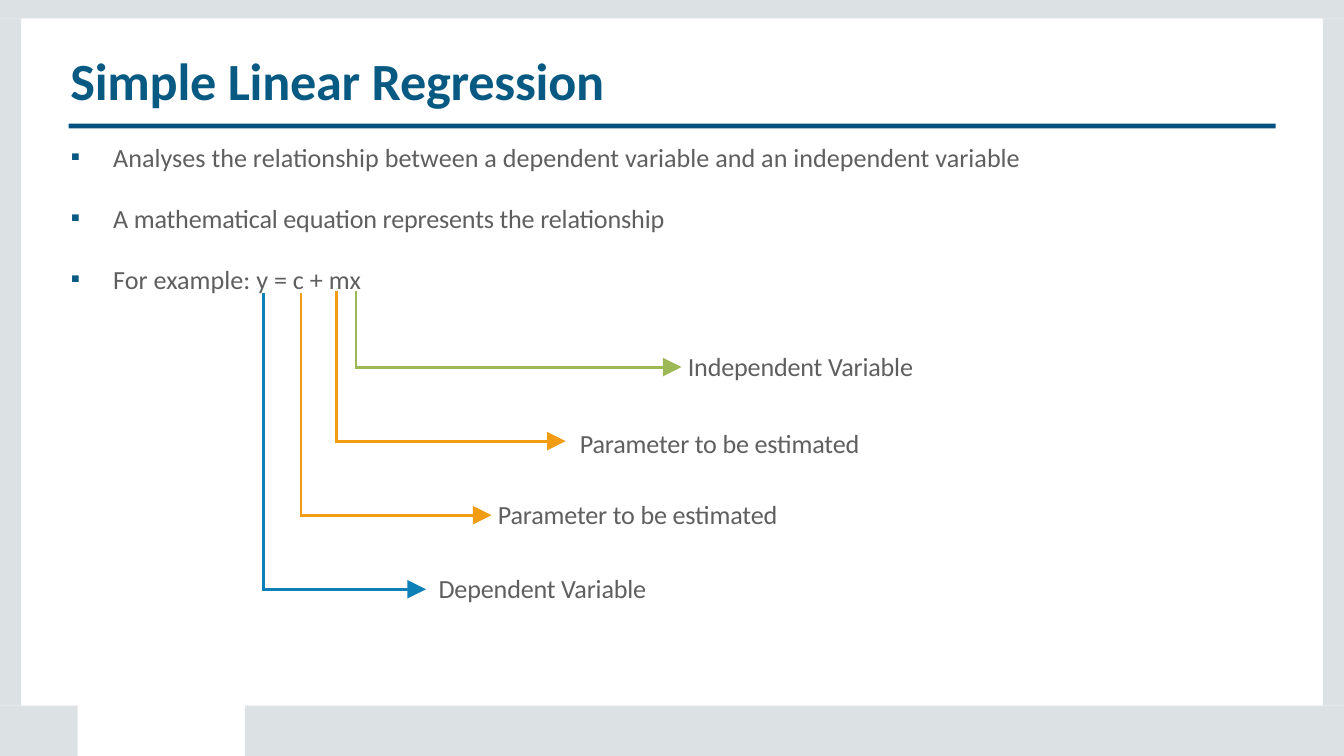
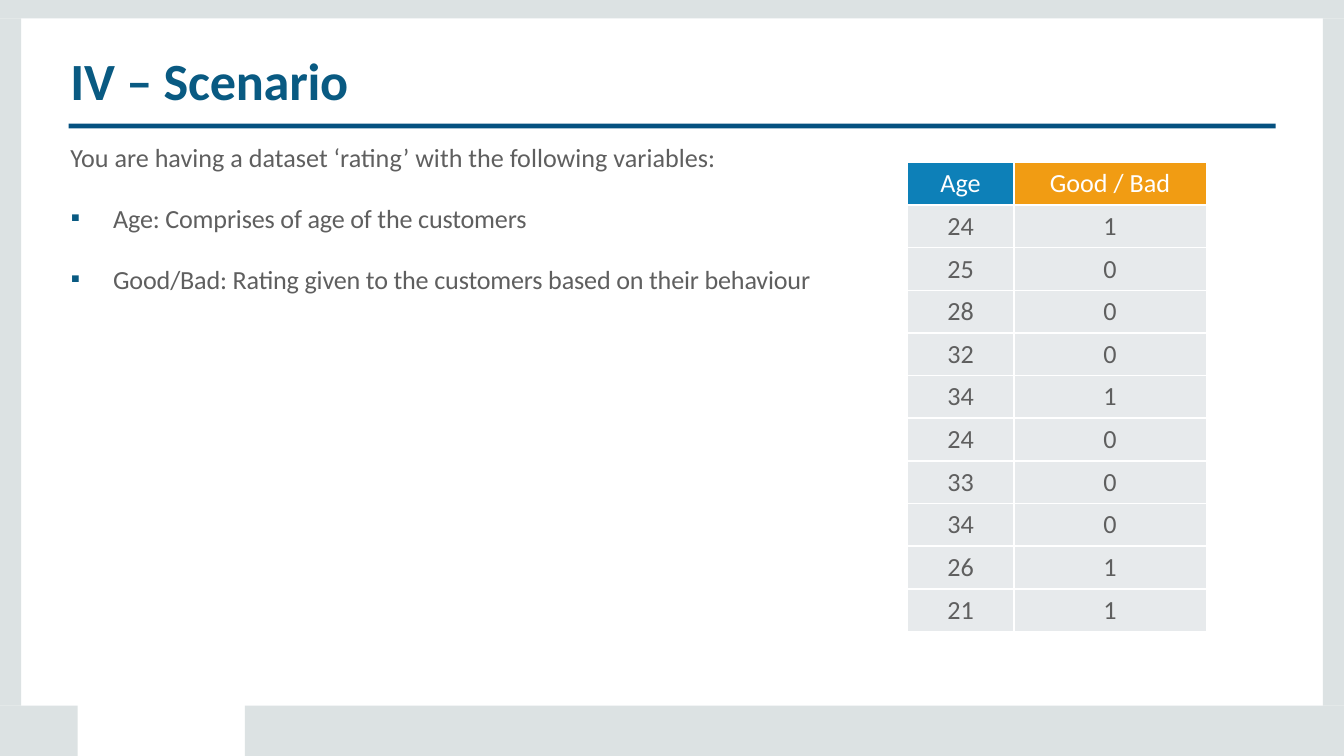
from dataclasses import dataclass
from typing import NamedTuple

from lxml.etree import SubElement
from pptx import Presentation
from pptx.dml.color import RGBColor
from pptx.enum.shapes import MSO_SHAPE as Preset, PP_PLACEHOLDER as Holder
from pptx.enum.text import MSO_ANCHOR as Anchor, MSO_AUTO_SIZE as AutoSize, PP_ALIGN as Align
from pptx.oxml.ns import qn
from pptx.util import Cm, Pt


@dataclass(frozen=True)
class Theme:
    font: str = "Calibri"
    title: str = "095A82"
    rule: str = "055180"
    frame: str = "DCE2E3"
    text: str = "5F5F5F"
    white: str = "FFFFFF"
    cell: str = "E7EAEC"
    blue: str = "0D80B8"
    orange: str = "F19C13"
    green: str = "9CB955"
    title_size: float = 28
    text_size: float = 14
    bullet_gap: float = 15.8
    arrow_width: float = 1.5


THEME = Theme()
PAGE_WIDTH, PAGE_HEIGHT = 25.4, 14.29
MARGIN, INSET_TOP = 1.33, 0.03


class Band(NamedTuple):
    """A filled rectangle, in centimetres."""
    left: float
    top: float
    width: float
    height: float
    color: str = THEME.frame


class Item(NamedTuple):
    text: str
    bullet: bool = True
    tight: bool = True


class Callout(NamedTuple):
    """An arrow from a term of the equation to its label, in centimetres."""
    label: str
    color: str
    term_x: float
    term_y: float
    tip_x: float
    gap: float
    drop: float = -0.02


# Shared frame
SIDE, TOP, FOOT = 0.4, 0.35, 13.34
GAP_LEFT, GAP_RIGHT = 1.47, 4.63
BANDS = [
    Band(PAGE_WIDTH - SIDE, TOP, SIDE, FOOT - TOP),
    Band(0, TOP, SIDE, FOOT - TOP),
    Band(GAP_RIGHT, FOOT, PAGE_WIDTH - GAP_RIGHT, PAGE_HEIGHT - FOOT),
    Band(0, FOOT, GAP_LEFT, PAGE_HEIGHT - FOOT),
    Band(0, 0, PAGE_WIDTH, TOP),
    Band(1.3, 2.34, 22.81, 0.09, THEME.rule),
]

# Slide content
REGRESSION = [
    Item("Analyses the relationship between a dependent variable and an independent variable",
         tight=False),
    Item("A mathematical equation represents the relationship"),
    Item("For example: y = c + mx", tight=False),
]
CALLOUTS = [
    Callout("Independent Variable", THEME.green, 6.73, 5.51, 12.88, 0.12),
    Callout("Parameter to be estimated", THEME.orange, 6.36, 5.51, 10.69, 0.27, drop=0.04),
    Callout("Parameter to be estimated", THEME.orange, 5.69, 5.54, 9.29, 0.12),
    Callout("Dependent Variable", THEME.blue, 4.98, 5.54, 8.05, 0.24),
]
CALLOUT_TOP, CALLOUT_STEP = 6.94, 1.4
LABEL_WIDTH, LABEL_HEIGHT = 6, 0.8

SCENARIO = [
    Item("You are having a dataset ‘rating’ with the following variables:",
         bullet=False, tight=False),
    Item("Age: Comprises of age of the customers"),
    Item("Good/Bad: Rating given to the customers based on their behaviour"),
]
HEADINGS = [("Age", THEME.blue, 2.01), ("Good / Bad", THEME.orange, 3.64)]
RATINGS = [(24, 1), (25, 0), (28, 0), (32, 0), (34, 1),
           (24, 0), (33, 0), (34, 0), (26, 1), (21, 1)]


def rgb(color: str) -> RGBColor:
    return RGBColor.from_string(color)


def add_span(para, text: str, color: str = THEME.text, size: float = THEME.text_size,
             bold: bool = False, tight: bool = False) -> None:
    span = para.add_run()
    span.text = text
    span.font.name = THEME.font
    span.font.size = Pt(size)
    span.font.bold = bold
    span.font.color.rgb = rgb(color)
    if tight:
        span._r.get_or_add_rPr().set("spc", "-10")


def set_frame(frame, left: float = 0, top: float = 0) -> None:
    frame.margin_left, frame.margin_top = Cm(left), Cm(top)
    frame.margin_right = frame.margin_bottom = 0
    frame.auto_size = AutoSize.NONE
    frame.vertical_anchor = Anchor.TOP
    frame.word_wrap = True


def add_bullet(para) -> None:
    props = para._p.get_or_add_pPr()
    props.set("marL", str(Cm(0.81)))
    props.set("indent", str(-Cm(0.8)))
    tint = SubElement(props, qn("a:buClr"))
    SubElement(tint, qn("a:srgbClr"), val=THEME.title)
    SubElement(props, qn("a:buFont"), typeface=THEME.font)
    SubElement(props, qn("a:buChar"), char="▪")


def add_frame(page, layout) -> None:
    """Draw the bands and place them on the layout, behind its title."""
    for holder in list(layout.placeholders):
        if holder.placeholder_format.type != Holder.TITLE:
            layout.shapes.element.remove(holder.element)
    for position, band in enumerate(BANDS, start=2):
        shape = page.shapes.add_shape(Preset.RECTANGLE, Cm(band.left), Cm(band.top),
                                      Cm(band.width), Cm(band.height))
        shape.shadow.inherit = False
        shape.fill.solid()
        shape.fill.fore_color.rgb = rgb(band.color)
        shape.line.fill.background()
        layout.shapes.element.insert(position, shape.element)


def set_title(page, text: str, width: float) -> None:
    box = page.shapes.title
    box.left, box.top, box.width, box.height = Cm(MARGIN), Cm(0.89), Cm(width), Cm(1.25)
    set_frame(box.text_frame, top=INSET_TOP)
    box.text_frame.word_wrap = False
    para = box.text_frame.paragraphs[0]
    para.alignment = Align.LEFT
    add_span(para, text, THEME.title, THEME.title_size, bold=True, tight=True)


def add_items(page, items: list[Item], width: float) -> None:
    box = page.shapes.add_textbox(Cm(MARGIN), Cm(2.64), Cm(width), Cm(2.95))
    set_frame(box.text_frame, top=INSET_TOP)
    for index, item in enumerate(items):
        para = box.text_frame.add_paragraph() if index else box.text_frame.paragraphs[0]
        if item.bullet:
            add_bullet(para)
        if index:
            para.space_before = Pt(THEME.bullet_gap)
        add_span(para, item.text, tight=item.tight)


def add_callout(page, callout: Callout, level: float) -> None:
    # Bent arrow: down from the term, then right to the label
    outline = page.shapes.build_freeform(Cm(callout.term_x), Cm(callout.term_y))
    outline.add_line_segments([(Cm(callout.term_x), Cm(level)),
                               (Cm(callout.tip_x), Cm(level))], close=False)
    arrow = outline.convert_to_shape()
    arrow.shadow.inherit = False
    arrow.fill.background()
    arrow.line.color.rgb = rgb(callout.color)
    arrow.line.width = Pt(THEME.arrow_width)
    stroke = arrow.line._get_or_add_ln()
    SubElement(stroke, qn("a:miter"), lim="800000")
    SubElement(stroke, qn("a:tailEnd"), type="triangle", w="lg", len="lg")

    # Label
    box = page.shapes.add_textbox(Cm(callout.tip_x),
                                  Cm(level + callout.drop - LABEL_HEIGHT / 2),
                                  Cm(LABEL_WIDTH), Cm(LABEL_HEIGHT))
    set_frame(box.text_frame, left=callout.gap)
    box.text_frame.vertical_anchor = Anchor.MIDDLE
    add_span(box.text_frame.paragraphs[0], callout.label, tight=True)


def fill_cell(cell, text: str, fill: str, color: str) -> None:
    cell.margin_left = cell.margin_right = cell.margin_top = cell.margin_bottom = 0
    cell.vertical_anchor = Anchor.MIDDLE
    for side in ("lnL", "lnR", "lnT", "lnB"):
        border = SubElement(cell._tc.get_or_add_tcPr(), qn(f"a:{side}"), w=str(Pt(1)))
        paint = SubElement(border, qn("a:solidFill"))
        SubElement(paint, qn("a:srgbClr"), val=THEME.white)
    cell.fill.solid()
    cell.fill.fore_color.rgb = rgb(fill)
    para = cell.text_frame.paragraphs[0]
    para.alignment = Align.CENTER
    add_span(para, text, color)


def add_ratings(page) -> None:
    width = sum(heading[2] for heading in HEADINGS)
    table = page.shapes.add_table(len(RATINGS) + 1, len(HEADINGS), Cm(17.15), Cm(3.07),
                                  Cm(width), Cm(8.87)).table
    table.horz_banding = False
    for column, (heading, fill, column_width) in enumerate(HEADINGS):
        table.columns[column].width = Cm(column_width)
        fill_cell(table.cell(0, column), heading, fill, THEME.white)
        for row, rating in enumerate(RATINGS, start=1):
            fill_cell(table.cell(row, column), str(rating[column]), THEME.cell, THEME.text)


def main() -> None:
    deck = Presentation()
    deck.slide_width, deck.slide_height = Cm(PAGE_WIDTH), Cm(PAGE_HEIGHT)
    layout = deck.slide_layouts.get_by_name("Title Only")

    # Simple linear regression
    page = deck.slides.add_slide(layout)
    add_frame(page, layout)
    set_title(page, "Simple Linear Regression", 10.29)
    add_items(page, REGRESSION, 18.5)
    for index, callout in enumerate(CALLOUTS):
        add_callout(page, callout, CALLOUT_TOP + index * CALLOUT_STEP)

    # Scenario
    page = deck.slides.add_slide(layout)
    set_title(page, "IV – Scenario", 5.38)
    add_items(page, SCENARIO, 14.6)
    add_ratings(page)

    deck.save("out.pptx")


if __name__ == "__main__":
    main()
